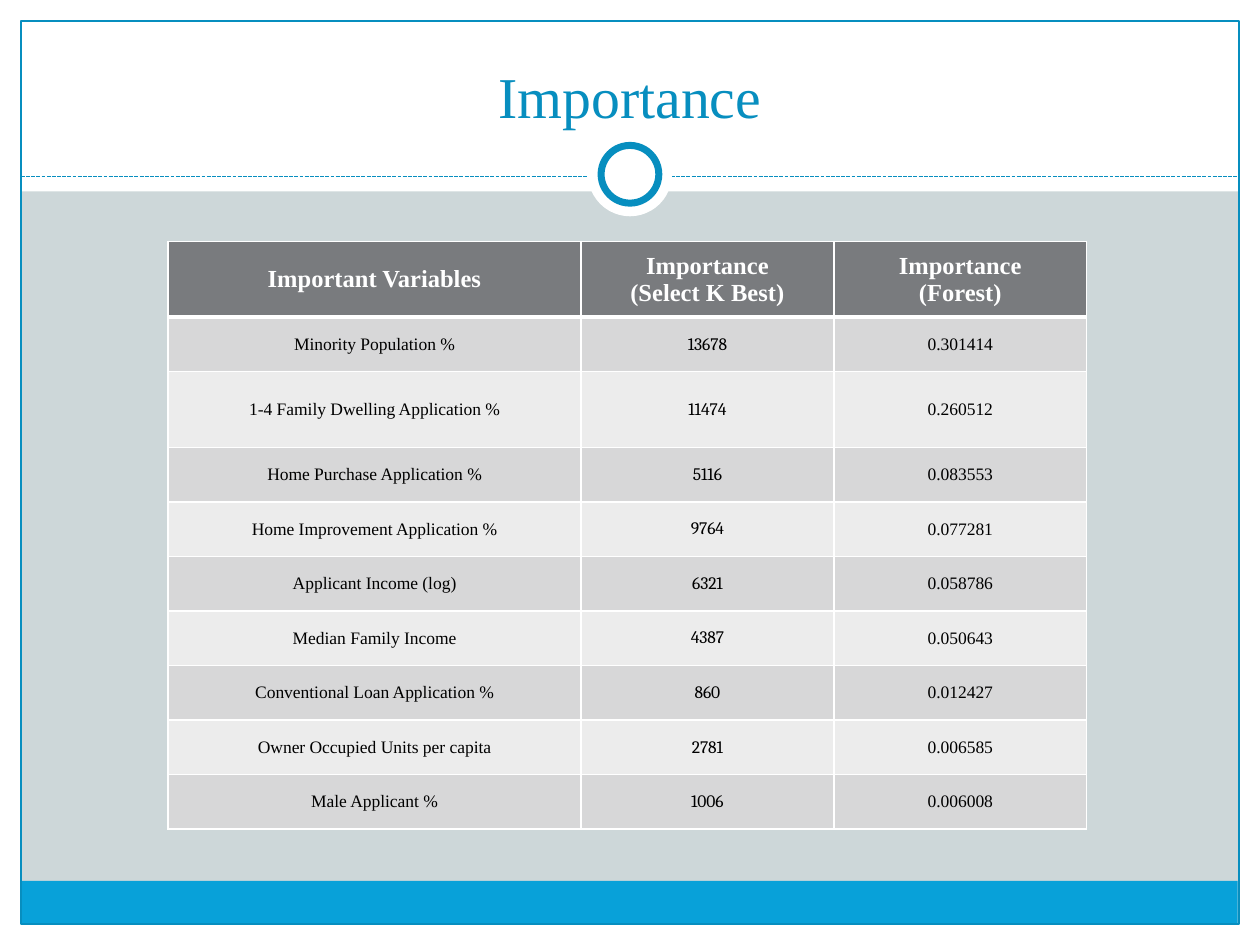
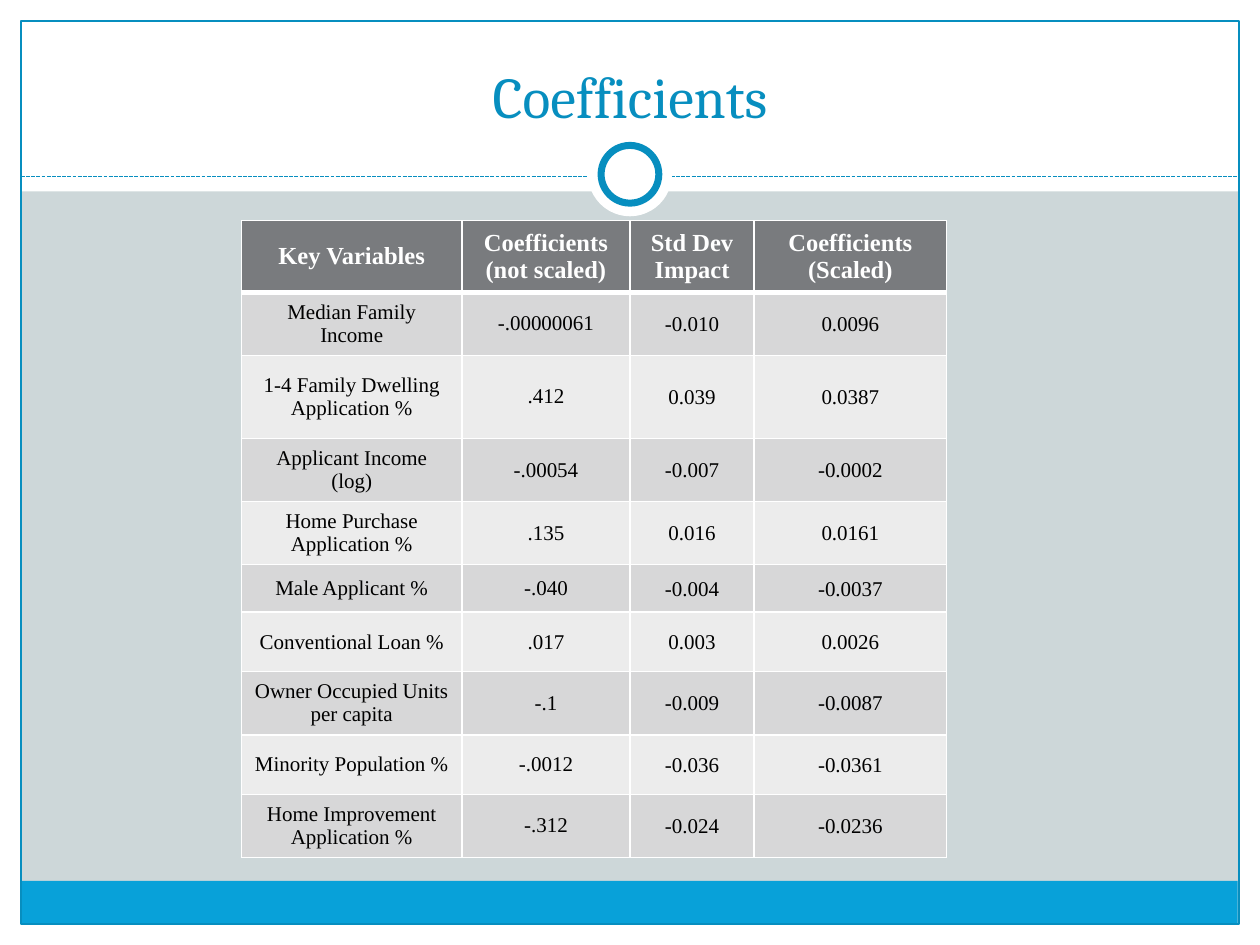
from pptx import Presentation
from pptx.dml.color import RGBColor
from pptx.enum.dml import MSO_LINE_DASH_STYLE as Dash
from pptx.enum.shapes import MSO_CONNECTOR as Conn, MSO_SHAPE as Geo
from pptx.enum.text import MSO_ANCHOR as Anchor, PP_ALIGN as Align
from pptx.oxml.ns import qn
from pptx.util import Pt
from lxml.etree import SubElement as Sub

# Palette and fonts
WHITE, BLACK, BACK = "FFFFFF", "000000", "CDD7D9"
BLUE, BAR = "078EBF", "08A1D9"
HEAD, ODD, EVEN = "797B7E", "D7D7D8", "ECECEC"
TIMES, CAMBRIA = "Times New Roman", "Cambria"

# Page frame
WIDE, HIGH, EDGE = 720, 540, 12
RULE_Y, RING_Y = 100.8, 99.6

# Cell insets: left, top, right, bottom
ROOMY = (16, 3.6, 16, 3.6)
PLAIN = (7.2, 3.6, 7.2, 3.6)
TIGHT = (0.7, 0.7, 0.7, 0)

RANKS = [
    ("Important Variables", "Importance (Select K Best)", "Importance (Forest)"),
    ("Minority Population %", "13678", "0.301414"),
    ("1-4 Family Dwelling Application %", "11474", "0.260512"),
    ("Home Purchase Application %", "5116", "0.083553"),
    ("Home Improvement Application %", "9764", "0.077281"),
    ("Applicant Income (log)", "6321", "0.058786"),
    ("Median Family Income", "4387", "0.050643"),
    ("Conventional Loan Application %", "860", "0.012427"),
    ("Owner Occupied Units per capita", "2781", "0.006585"),
    ("Male Applicant %", "1006", "0.006008"),
]
COEFS = [
    ("Key Variables", "Coefficients\n(not scaled)", "Std Dev Impact",
     "Coefficients (Scaled)"),
    ("Median Family Income", "-.00000061", "-0.010", "0.0096"),
    ("1-4 Family Dwelling Application %", ".412", "0.039", "0.0387"),
    ("Applicant Income (log)", "-.00054", "-0.007", "-0.0002"),
    ("Home Purchase Application %", ".135", "0.016", "0.0161"),
    ("Male Applicant %", "-.040", "-0.004", "-0.0037"),
    ("Conventional Loan %", ".017", "0.003", "0.0026"),
    ("Owner Occupied Units per capita", "-.1", "-0.009", "-0.0087"),
    ("Minority Population %", "-.0012", "-0.036", "-0.0361"),
    ("Home Improvement Application %", "-.312", "-0.024", "-0.0236"),
]


def paint(target, color):
    """Give a fill (of a shape, line, cell or page) one solid colour."""
    target.solid()
    target.fore_color.rgb = RGBColor.from_string(color)


def style(frame, font, size, color, bold=False):
    for para in frame.paragraphs:
        para.alignment = Align.CENTER
        for run in para.runs:
            run.font.name = font
            run.font.size = Pt(size)
            run.font.bold = bold
            run.font.color.rgb = RGBColor.from_string(color)


def add_box(slide, geo, x, y, w, h, fill=None, line=None, weight=0.75):
    box = slide.shapes.add_shape(geo, Pt(x), Pt(y), Pt(w), Pt(h))
    box.shadow.inherit = False
    if fill:
        paint(box.fill, fill)
    else:
        box.fill.background()
    if line:
        paint(box.line.fill, line)
        box.line.width = Pt(weight)
    else:
        box.line.fill.background()


def add_disc(slide, radius, **look):
    add_box(slide, Geo.OVAL, WIDE / 2 - radius, RING_Y - radius,
            2 * radius, 2 * radius, **look)


def add_rule(slide, y):
    rule = slide.shapes.add_connector(
        Conn.STRAIGHT, Pt(EDGE), Pt(y), Pt(WIDE - EDGE), Pt(y))
    paint(rule.line.fill, BLUE)
    rule.line.width = Pt(0.75)
    rule.line.dash_style = Dash.SQUARE_DOT
    Sub(rule._element.spPr, qn("a:effectLst"))


def add_title(slide, text, font):
    box = slide.shapes.add_textbox(Pt(24), Pt(18), Pt(672), Pt(60))
    frame = box.text_frame
    frame.word_wrap = True
    frame.vertical_anchor = Anchor.BOTTOM
    frame.text = text
    style(frame, font, 33, BLUE)


def add_page(deck, title, font):
    """Add a slide with the shared frame, ring and title."""
    slide = deck.slides.add_slide(deck.slide_layouts[6])
    paint(slide.background.fill, BACK)
    # White margins and header
    for area in ((0, HIGH - EDGE, WIDE, EDGE), (0, 0, WIDE, 109.4),
                 (0, 0, EDGE, HIGH), (WIDE - EDGE, 0, EDGE, HIGH)):
        add_box(slide, Geo.RECTANGLE, *area, fill=WHITE)
    # Footer bar and outline
    add_box(slide, Geo.RECTANGLE, 11.5, 503.4, 695.7, 24.6, fill=BAR)
    add_box(slide, Geo.RECTANGLE, EDGE, EDGE, WIDE - 2 * EDGE,
            HIGH - 2 * EDGE, line=BLUE)
    # Rule with ring
    add_rule(slide, RULE_Y)
    add_disc(slide, 24, fill=WHITE)
    add_disc(slide, 16.5, fill=WHITE, line=BLUE, weight=4)
    add_title(slide, title, font)
    return slide


def add_edges(cell, top, bottom):
    props = cell._tc.get_or_add_tcPr()
    for side, weight in (("L", 1), ("R", 1), ("T", top), ("B", bottom)):
        edge = Sub(props, qn("a:ln" + side), w=str(Pt(weight)))
        fill = Sub(edge, qn("a:solidFill"))
        Sub(fill, qn("a:srgbClr"), val=WHITE)


def fill_cell(cell, text, row, font, size, inset):
    cell.margin_left, cell.margin_top, cell.margin_right, cell.margin_bottom = (
        Pt(gap) for gap in inset)
    cell.vertical_anchor = Anchor.MIDDLE
    cell.text_frame.text = text
    add_edges(cell, 3 if row == 1 else 1, 3 if row == 0 else 1)
    if row == 0:
        paint(cell.fill, HEAD)
        style(cell.text_frame, TIMES, 14, WHITE, True)
    else:
        paint(cell.fill, ODD if row % 2 else EVEN)
        style(cell.text_frame, font, size, BLACK)


def add_grid(slide, data, x, y, cols, rows, fonts, size, head, insets):
    """Add a table; fonts and insets are per body column."""
    table = slide.shapes.add_table(
        len(rows), len(cols), Pt(x), Pt(y), Pt(sum(cols)), Pt(sum(rows))).table
    for col, width in zip(table.columns, cols):
        col.width = Pt(width)
    for i, high in enumerate(rows):
        table.rows[i].height = Pt(high)
        for j, text in enumerate(data[i]):
            fill_cell(table.cell(i, j), text, i, fonts[j], size,
                      insets[j] if i else head)


def main():
    deck = Presentation()
    deck.slide_width, deck.slide_height = Pt(WIDE), Pt(HIGH)

    # Variable importance
    slide = add_page(deck, "Importance", TIMES)
    add_grid(slide, RANKS, 96, 138, (236, 144.5, 144.5),
             [43.2, 31.2, 43.2] + [31.2] * 7,
             (TIMES, CAMBRIA, TIMES), 10, ROOMY, [ROOMY] * 3)

    # Model coefficients
    slide = add_page(deck, "Coefficients", CAMBRIA)
    add_grid(slide, COEFS, 138, 126, (126, 96, 71, 110),
             (41, 35.2, 47.6, 35.2, 35.2, 27.2, 34, 35.2, 34, 35.2),
             [TIMES] * 4, 12, PLAIN, (PLAIN, PLAIN, TIGHT, TIGHT))

    deck.save("out.pptx")


if __name__ == "__main__":
    main()
